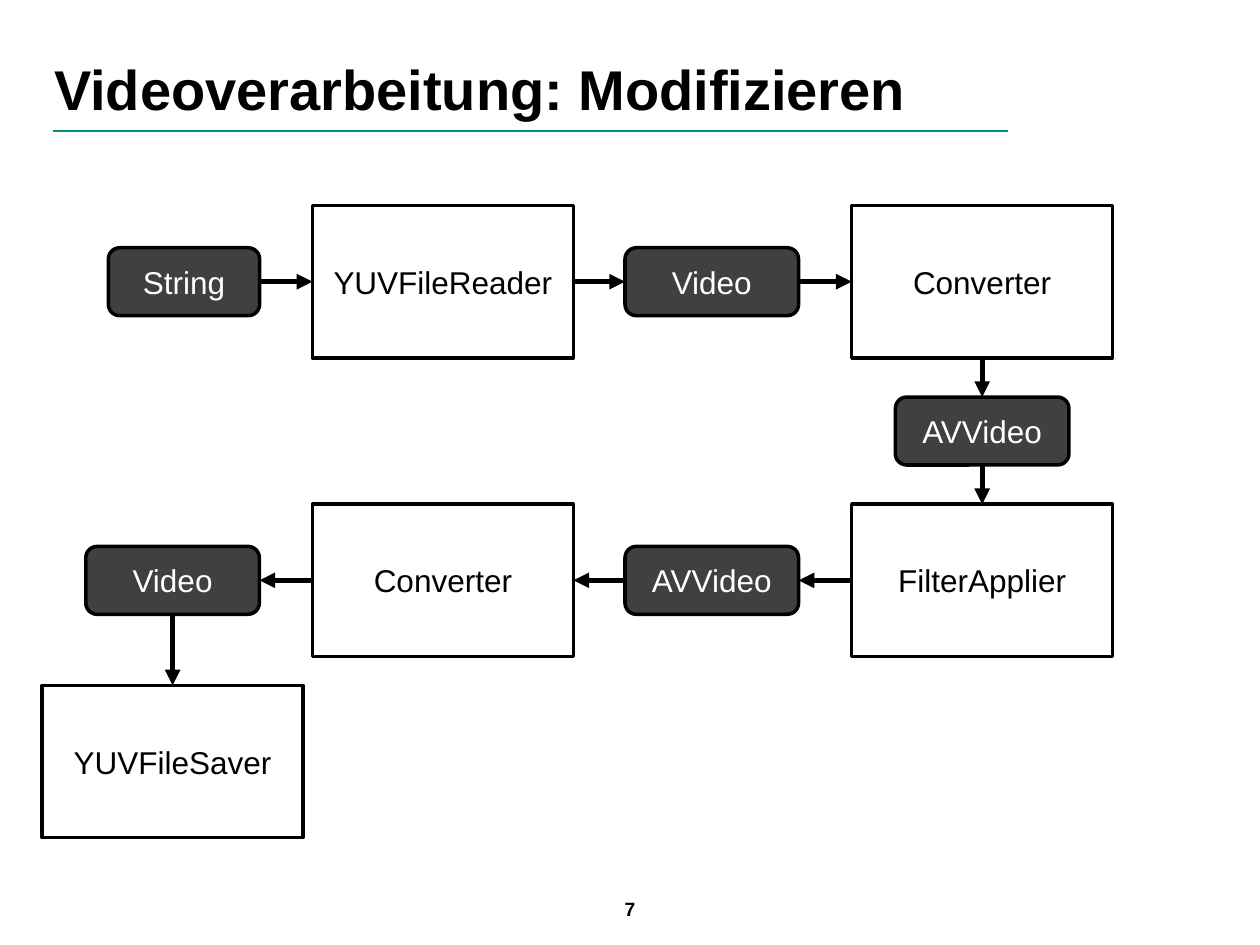
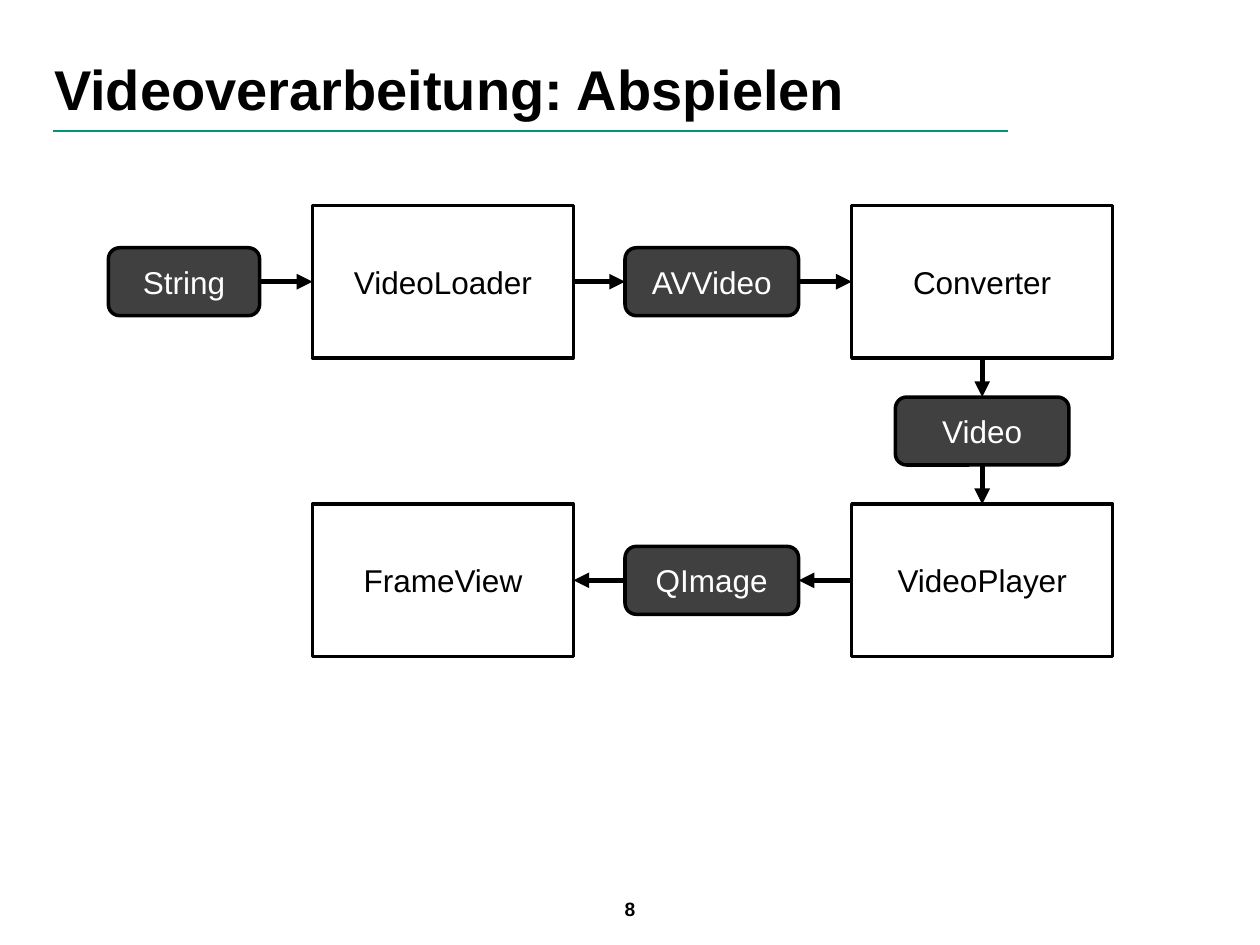
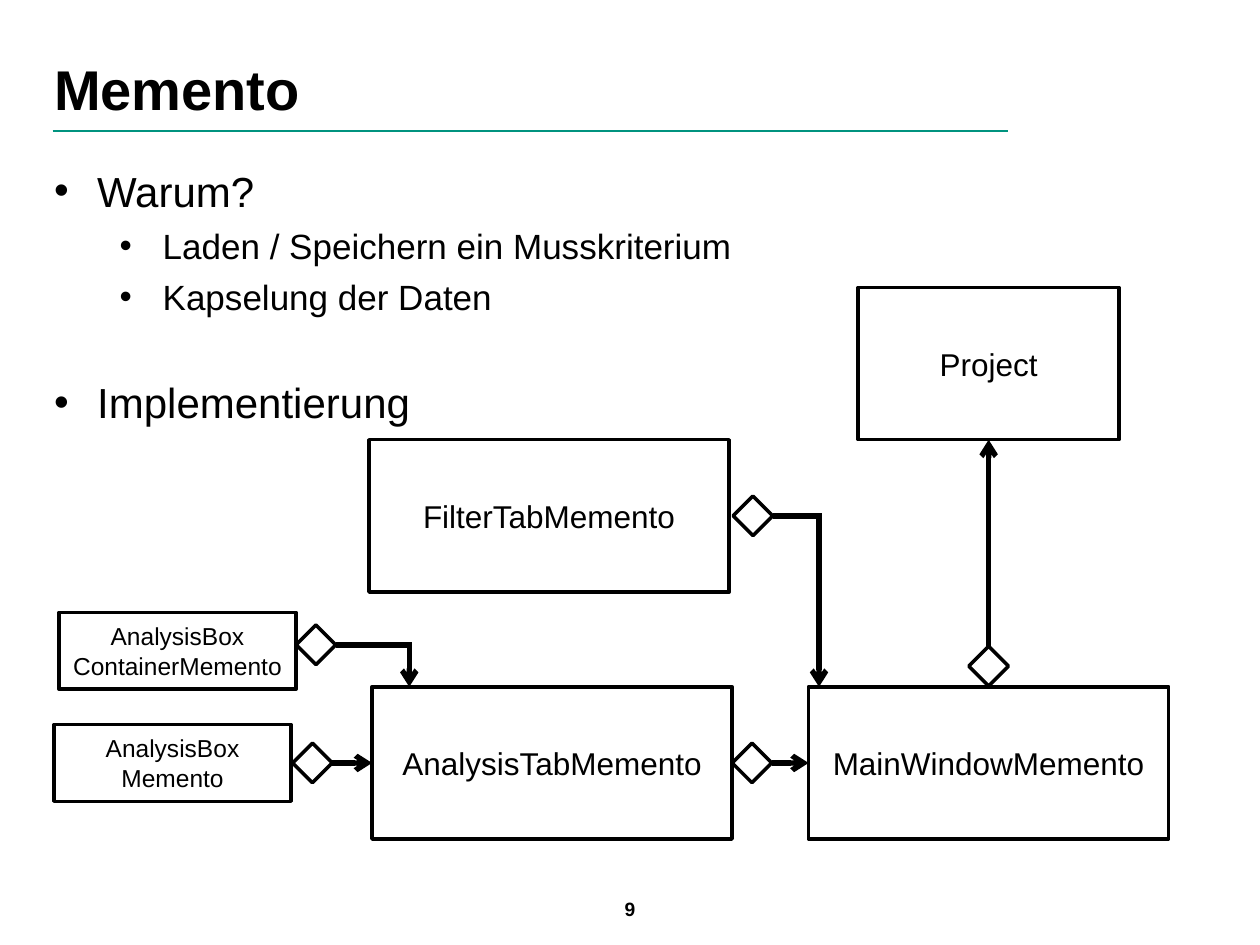
from dataclasses import dataclass
from itertools import pairwise

from lxml.etree import SubElement
from pptx import Presentation
from pptx.dml.color import RGBColor
from pptx.enum.shapes import MSO_CONNECTOR, MSO_SHAPE
from pptx.enum.text import MSO_ANCHOR, PP_ALIGN
from pptx.oxml.ns import qn
from pptx.util import Cm, Pt


@dataclass(frozen=True)
class Theme:
    font: str = "Arial"
    ink: RGBColor = RGBColor(0, 0, 0)
    paper: RGBColor = RGBColor(255, 255, 255)
    dark: RGBColor = RGBColor(64, 64, 64)
    green: RGBColor = RGBColor(0, 147, 127)
    title: int = 32
    label: int = 18
    small: int = 14
    foot: int = 11
    levels: tuple = (24, 20)
    border: float = 2
    arrow: float = 3
    rule: float = 0.75


THEME = Theme()

FLOWS = [
    ("Videoverarbeitung: Modifizieren",
     ["String", "YUVFileReader", "Video", "Converter", "AVVideo",
      "FilterApplier", "AVVideo", "Converter", "Video", "YUVFileSaver"]),
    ("Videoverarbeitung: Abspielen",
     ["String", "VideoLoader", "AVVideo", "Converter", "Video",
      "VideoPlayer", "QImage", "FrameView"]),
]

POINTS = [
    ("Warum?", 0, 5),
    ("Laden / Speichern ein Musskriterium", 1, 5),
    ("Kapselung der Daten", 1, 5),
    ("Implementierung", 0, 34),
]

BOX = (5.26, 3.07)
WIDE = (7.26, 3.07)
SLIM = (4.78, 1.55)
PILL = (3.5, 1.37)
SHORT = (3.05, 1.37)
GEM = (0.8, 0.8)

LEFT, NEAR, MID, FAR = 3.48, 8.93, 14.35, 19.8
TOP, STEP = 5.68, 3.01
LOW = TOP + 2 * STEP
BASE = 15.38

SLOTS = [
    (3.71, TOP, SHORT), (NEAR, TOP, BOX), (MID, TOP, PILL), (FAR, TOP, BOX),
    (FAR, TOP + STEP, PILL), (FAR, LOW, BOX), (MID, LOW, PILL),
    (NEAR, LOW, BOX), (LEFT, LOW, PILL), (LEFT, 15.35, BOX),
]

PARTS = {
    "project": ("Project", 19.93, 7.33, BOX),
    "main": ("MainWindowMemento", 19.93, BASE, WIDE),
    "tab": ("AnalysisTabMemento", 11.13, BASE, WIDE),
    "filter": ("FilterTabMemento", 11.07, 10.4, WIDE),
    "holder": ("AnalysisBox\nContainerMemento", 3.58, 13.12, SLIM),
    "cell": ("AnalysisBox\nMemento", 3.48, BASE, SLIM),
    "main gem": ("", 19.93, 13.43, GEM),
    "tab gem": ("", 15.16, BASE, GEM),
    "filter gem": ("", 15.18, 10.4, GEM),
    "holder gem": ("", 6.37, 13, GEM),
    "cell gem": ("", 6.3, BASE, GEM),
}
LINKS = [("main gem", "project"), ("tab gem", "main"), ("cell gem", "tab")]
BENDS = [("filter gem", "main", 16.51), ("holder gem", "tab", 8.25)]


def style(par, size, color=THEME.ink, bold=False):
    font = par.font
    font.name, font.size, font.bold = THEME.font, Pt(size), bold
    font.color.rgb = color


def clear(frame, anchor):
    frame.word_wrap = True
    frame.vertical_anchor = anchor
    frame.margin_left = frame.margin_right = 0
    frame.margin_top = frame.margin_bottom = 0
    return frame


def write(slide, area, anchor):
    return clear(slide.shapes.add_textbox(*map(Cm, area)).text_frame, anchor)


def line(slide, start, end, color=THEME.ink, width=THEME.arrow, head=None):
    link = slide.shapes.add_connector(MSO_CONNECTOR.STRAIGHT, *start, *end)
    link.line.color.rgb = color
    link.line.width = Pt(width)
    if head:
        SubElement(link.line._get_or_add_ln(), qn("a:tailEnd"), type=head)
    SubElement(link._element.spPr, qn("a:effectLst"))
    return link


def node(slide, text, x, y, size):
    wide, high = size
    pill = size in (PILL, SHORT)
    kind = (MSO_SHAPE.ROUNDED_RECTANGLE if pill
            else MSO_SHAPE.DIAMOND if size == GEM else MSO_SHAPE.RECTANGLE)
    shape = slide.shapes.add_shape(
        kind, Cm(x - wide / 2), Cm(y - high / 2), Cm(wide), Cm(high))
    shape.shadow.inherit = False
    shape.fill.solid()
    shape.fill.fore_color.rgb = THEME.dark if pill else THEME.paper
    shape.line.color.rgb = THEME.ink
    shape.line.width = Pt(THEME.border)
    if text:
        par = clear(shape.text_frame, MSO_ANCHOR.MIDDLE).paragraphs[0]
        par.text = text
        par.alignment = PP_ALIGN.CENTER
        style(par, THEME.small if size == SLIM else THEME.label,
              THEME.paper if pill else THEME.ink)
    return shape


def join(slide, first, last, head):
    across = last.left + last.width / 2 - first.left - first.width / 2
    down = last.top + last.height / 2 - first.top - first.height / 2
    if abs(across) > abs(down):
        sites = (3, 1) if across > 0 else (1, 3)
    else:
        sites = (2, 0) if down > 0 else (0, 2)
    link = line(slide, (0, 0), (0, 0), head=head)
    link.begin_connect(first, sites[0])
    link.end_connect(last, sites[1])


def bend(slide, first, last, x):
    y = first.top + first.height // 2
    start = (first.left + first.width, y)
    line(slide, start, (Cm(x) + Pt(THEME.arrow / 2), y))
    line(slide, (Cm(x), y), (Cm(x), last.top), head="arrow")


def page(deck, title, number):
    slide = deck.slides.add_slide(deck.slide_layouts[6])
    foot = write(slide, (12.24, 17.58, 0.92, 1.47), MSO_ANCHOR.MIDDLE)
    par = foot.paragraphs[0]
    par.text = str(number)
    par.alignment = PP_ALIGN.CENTER
    style(par, THEME.foot, bold=True)
    line(slide, (Cm(1.06), Cm(2.64)), (Cm(20.32), Cm(2.64)),
         THEME.green, THEME.rule)
    par = write(slide, (1.09, 0.91, 17.75, 1.55),
                MSO_ANCHOR.BOTTOM).paragraphs[0]
    par.text = title
    style(par, THEME.title, bold=True)
    return slide


def flow(slide, names):
    nodes = [node(slide, name, *slot) for name, slot in zip(names, SLOTS)]
    for first, last in pairwise(nodes):
        join(slide, first, last, "triangle")


def bullets(slide):
    frame = write(slide, (1.09, 3.33, 23.22, 13.59), MSO_ANCHOR.TOP)
    for rank, (text, level, gap) in enumerate(POINTS):
        par = frame.add_paragraph() if rank else frame.paragraphs[0]
        par.text = text
        par.level = level
        par.space_before = Pt(gap)
        props = par._p.get_or_add_pPr()
        props.set("marL", str(Cm(0.87 + 1.32 * level)))
        props.set("indent", str(Cm(-0.87)))
        SubElement(props, qn("a:buFont"), typeface=THEME.font)
        SubElement(props, qn("a:buChar"), char="•")
        style(par, THEME.levels[level])


def memento(slide):
    bullets(slide)
    nodes = {key: node(slide, *part) for key, part in PARTS.items()}
    for first, last in LINKS:
        join(slide, nodes[first], nodes[last], "arrow")
    for first, last, x in BENDS:
        bend(slide, nodes[first], nodes[last], x)


def main():
    deck = Presentation()
    deck.slide_width, deck.slide_height = Cm(25.4), Cm(19.05)
    for number, (title, names) in enumerate(FLOWS, 7):
        flow(page(deck, title, number), names)
    memento(page(deck, "Memento", 9))
    deck.save("out.pptx")


if __name__ == "__main__":
    main()
